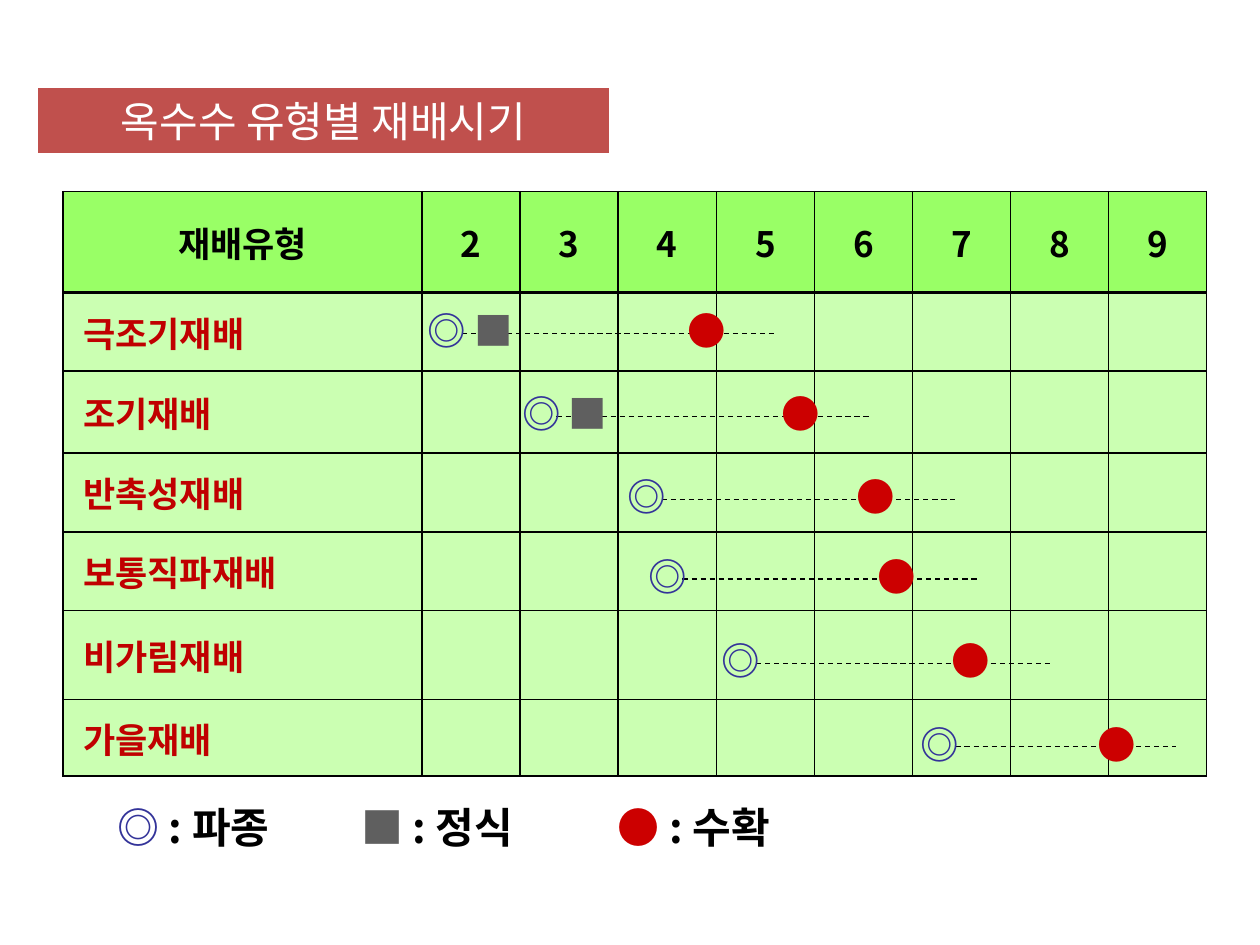
"""Build a slide charting when each type of corn is sown, planted out and harvested."""
from lxml.etree import SubElement
from pptx import Presentation
from pptx.dml.color import RGBColor
from pptx.enum.dml import MSO_LINE
from pptx.enum.shapes import MSO_CONNECTOR
from pptx.enum.text import MSO_ANCHOR, MSO_AUTO_SIZE, PP_ALIGN
from pptx.oxml.ns import qn
from pptx.util import Pt

FONT = "Noto Sans CJK KR"
BLACK, BLUE, GRAY, RED = "000000", "333399", "5F5F5F", "CC0000"
hue = RGBColor.from_string


def style(run, size, color, bold=True):
    """Set the font of one run."""
    font = run.font
    font.size, font.bold, font.name = Pt(size), bold, FONT
    font.color.rgb = hue(color)
    SubElement(run._r.get_or_add_rPr(), qn("a:ea"), typeface=FONT)


def write(box, parts, size, stops):
    """Fill a box with coloured runs set on tab stops."""
    frame = box.text_frame
    frame.word_wrap = True
    para = frame.paragraphs[0]
    tabs = SubElement(para._p.get_or_add_pPr(), qn("a:tabLst"))
    for stop in stops:
        SubElement(tabs, qn("a:tab"), pos=str(Pt(stop)), algn="l")
    for text, color in parts:
        run = para.add_run()
        run.text = text
        style(run, size, color)


deck = Presentation()
deck.slide_width, deck.slide_height = Pt(720), Pt(540)
slide = deck.slides.add_slide(deck.slide_layouts[5])
shapes = slide.shapes

title = shapes.title
title.left, title.top, title.width, title.height = Pt(20.4), Pt(49), Pt(329), Pt(39.6)
geom = SubElement(title._element.spPr, qn("a:prstGeom"), prst="roundRect")
SubElement(SubElement(geom, qn("a:avLst")), qn("a:gd"), name="adj", fmla="val 50000")
title.fill.solid()
title.fill.fore_color.rgb = hue("C0504D")
title.line.color.rgb = hue("FFFFFF")
title.line.width = Pt(2.25)
frame = title.text_frame
frame.text = "옥수수 유형별 재배시기"
frame.auto_size = MSO_AUTO_SIZE.NONE
frame.vertical_anchor = MSO_ANCHOR.MIDDLE
frame.paragraphs[0].alignment = PP_ALIGN.CENTER
style(frame.paragraphs[0].runs[0], 24, "FFFFFF", False)

heads = ["재배유형", *"23456789"]
kinds = ["극조기재배", "조기재배", "반촉성재배", "보통직파재배", "비가림재배", "가을재배"]
tall = [57.6, 45, 46.8, 45, 45, 51, 43.6]
table = shapes.add_table(7, 9, Pt(36), Pt(109.5), Pt(653.6), Pt(334)).table
table.first_row = table.horz_banding = False
for col, wide in zip(table.columns, [205.2] + [56.05] * 8):
    col.width = Pt(wide)
for r, high in enumerate(tall):
    table.rows[r].height = Pt(high)
    for c in range(9):
        cell = table.cell(r, c)
        cell.vertical_anchor = MSO_ANCHOR.MIDDLE
        text = heads[c] if r == 0 else kinds[r - 1] if c == 0 else ""
        if text:
            cell.text_frame.text = text
            para = cell.text_frame.paragraphs[0]
            style(para.runs[0], 20, "C00000" if r else BLACK)
            if r:
                cell.margin_left = Pt(11.5)
            else:
                para.alignment = PP_ALIGN.CENTER
        props = cell._tc.get_or_add_tcPr()
        for side in "LRTB":
            thick = (r, side) in ((0, "B"), (1, "T"))
            edge = SubElement(props, qn(f"a:ln{side}"), w=str(Pt(2.25 if thick else 1)))
            SubElement(SubElement(edge, qn("a:solidFill")), qn("a:srgbClr"), val=BLACK)
        cell.fill.solid()
        cell.fill.fore_color.rgb = hue("99FF66")
        if r:
            tint = props.find(qn("a:solidFill")).find(qn("a:srgbClr"))
            SubElement(tint, qn("a:alpha"), val="50000")

legend = shapes.add_textbox(Pt(60), Pt(454.5), Pt(630), Pt(36))
keys = [("◎", BLUE), (" : 파종", BLACK), ("\t■", GRAY), (" : 정식", BLACK),
        ("\t●", RED), (" : 수확", BLACK)]
write(legend, keys, 24, [139.2, 286])

plans = [(240, 172, 180, 148.5, True), (294, 219.6, 180, 148.5, True),
         (354, 267, 168, 131.3, False), (366, 312.5, 168, 131.3, False),
         (408, 360.7, 168, 131.3, False), (522, 408.2, 126, 101, False)]
for left, top, span, reap, moved in plans:
    start, level = left + 24, top + 18.4
    line = shapes.add_connector(MSO_CONNECTOR.STRAIGHT, Pt(start), Pt(level),
                                Pt(start + span), Pt(level))
    line.line.color.rgb = hue(BLACK)
    line.line.width = Pt(0.75)
    line.line.dash_style = MSO_LINE.DASH
    SubElement(line._element.spPr, qn("a:effectLst"))
    box = shapes.add_textbox(Pt(left), Pt(top), Pt(reap + 40), Pt(34))
    box.text_frame.margin_left = box.text_frame.margin_right = Pt(4.3)
    marks = [("◎", BLUE), ("\t●", RED)]
    if moved:
        marks.insert(1, ("\t■", GRAY))
    write(box, marks, 22, [26.8, reap] if moved else [reap])

deck.save("out.pptx")
